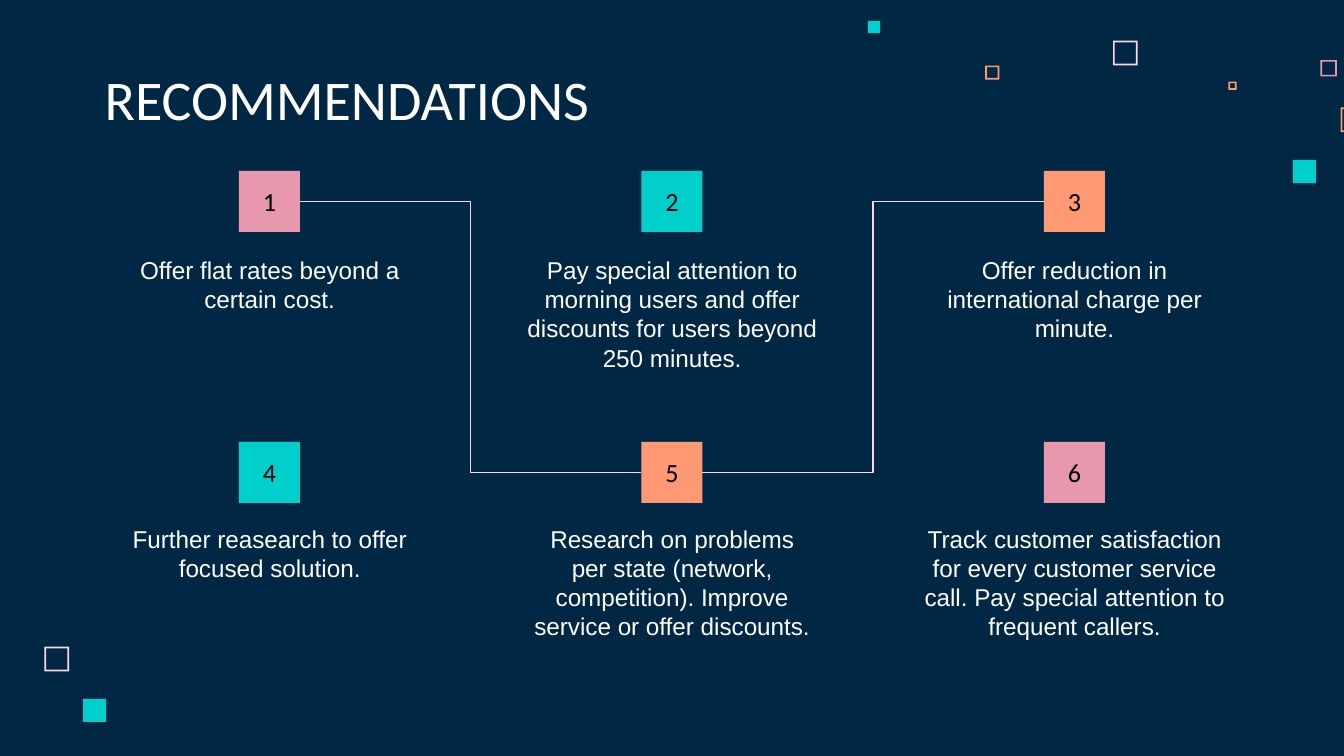
from lxml import etree
from pptx import Presentation
from pptx import util as u
from pptx.dml.color import RGBColor
from pptx.enum import shapes, text
from pptx.oxml import ns

Pt = u.Pt
NAVY = RGBColor(0x00, 0x28, 0x45)
WHITE = RGBColor(0xFF, 0xFF, 0xFF)
BLACK = RGBColor(0x00, 0x00, 0x00)
BLUSH = RGBColor(0xFF, 0xD6, 0xE1)
PINK = RGBColor(0xE8, 0x98, 0xAC)
ORANGE = RGBColor(0xFF, 0x99, 0x73)
TEAL = RGBColor(0x00, 0xCF, 0xCC)

deck = Presentation()
deck.slide_width, deck.slide_height = Pt(720), Pt(405)
slide = deck.slides.add_slide(deck.slide_layouts[6])
slide.background.fill.solid()
slide.background.fill.fore_color.rgb = NAVY


def add_square(preset, left, top, size, color):
    square = slide.shapes.add_shape(preset, Pt(left), Pt(top), Pt(size), Pt(size))
    square.shadow.inherit = False
    square.fill.solid()
    square.fill.fore_color.rgb = color
    square.line.fill.background()
    return square


def write(shape, words, size, font, color, anchor, align):
    frame = shape.text_frame
    frame.word_wrap = True
    frame.vertical_anchor = anchor
    frame.margin_left = frame.margin_right = Pt(7.2)
    frame.margin_top = frame.margin_bottom = Pt(7.2)
    paragraph = frame.paragraphs[0]
    paragraph.alignment = align
    run = paragraph.add_run()
    run.text = words
    run.font.size = Pt(size)
    run.font.name = font
    run.font.color.rgb = color


RECT = shapes.MSO_SHAPE.RECTANGLE
FRAME = shapes.MSO_SHAPE.FRAME
EDGE = 0.9

for left, top, size, color in [
    (596.3, 21.8, 13.2, BLUSH),
    (707.4, 32.2, 8.8, PINK),
    (658.1, 43.7, 4.4, ORANGE),
    (718.2, 57.6, 13.2, ORANGE),
    (527.8, 35.1, 7.5, ORANGE),
    (23.8, 346.5, 13.2, BLUSH),
]:
    outlined = add_square(FRAME, left, top, size, color)
    outlined.adjustments[0] = EDGE / size

for left, top, size in [(692.6, 85.7, 12.4), (465, 11.3, 6.5), (44.5, 374.4, 12.4)]:
    add_square(RECT, left, top, size, TEAL)

title = slide.shapes.add_textbox(Pt(49), Pt(32.4), Pt(372.2), Pt(45.4))
write(title, "RECOMMENDATIONS", 30, "Calibri", WHITE,
      text.MSO_ANCHOR.BOTTOM, text.PP_ALIGN.LEFT)

recommendations = [
    ("Offer flat rates beyond a certain cost.", PINK, 173.5),
    ("Pay special attention to morning users and offer discounts for users "
     "beyond 250 minutes.", TEAL, 173.5),
    ("Offer reduction in international charge per minute.", ORANGE, 178.5),
    ("Further reasearch to offer focused solution.", TEAL, 173.5),
    ("Research on problems per state (network, competition). Improve service "
     "or offer discounts.", ORANGE, 162.7),
    ("Track customer satisfaction for every customer service call. Pay special "
     "attention to frequent callers.", PINK, 178.5),
]
BADGE = 32.7
badges = []
for index, (advice, color, width) in enumerate(recommendations):
    row, column = divmod(index, 3)
    center = 144.4 + 215.6 * column
    badge = add_square(RECT, center - BADGE / 2, 91.6 + 145.2 * row, BADGE, color)
    write(badge, str(index + 1), 14, "Calibri", BLACK,
          text.MSO_ANCHOR.MIDDLE, text.PP_ALIGN.CENTER)
    badges.append(badge)
    body = slide.shapes.add_textbox(
        Pt(center - width / 2), Pt(129.6 + 144 * row), Pt(width), Pt(64.8))
    write(body, advice, 13, "Arial", WHITE,
          text.MSO_ANCHOR.TOP, text.PP_ALIGN.CENTER)

LEFT_SIDE, RIGHT_SIDE = 1, 3
for start, end in [(1, 5), (5, 3)]:
    link = slide.shapes.add_connector(shapes.MSO_CONNECTOR.ELBOW, 0, 0, 0, 0)
    link.begin_connect(badges[start - 1], RIGHT_SIDE)
    link.end_connect(badges[end - 1], LEFT_SIDE)
    link.line.color.rgb = BLUSH
    link.line.width = Pt(0.75)
    etree.SubElement(link._element.spPr, ns.qn("a:effectLst"))

deck.save("out.pptx")
